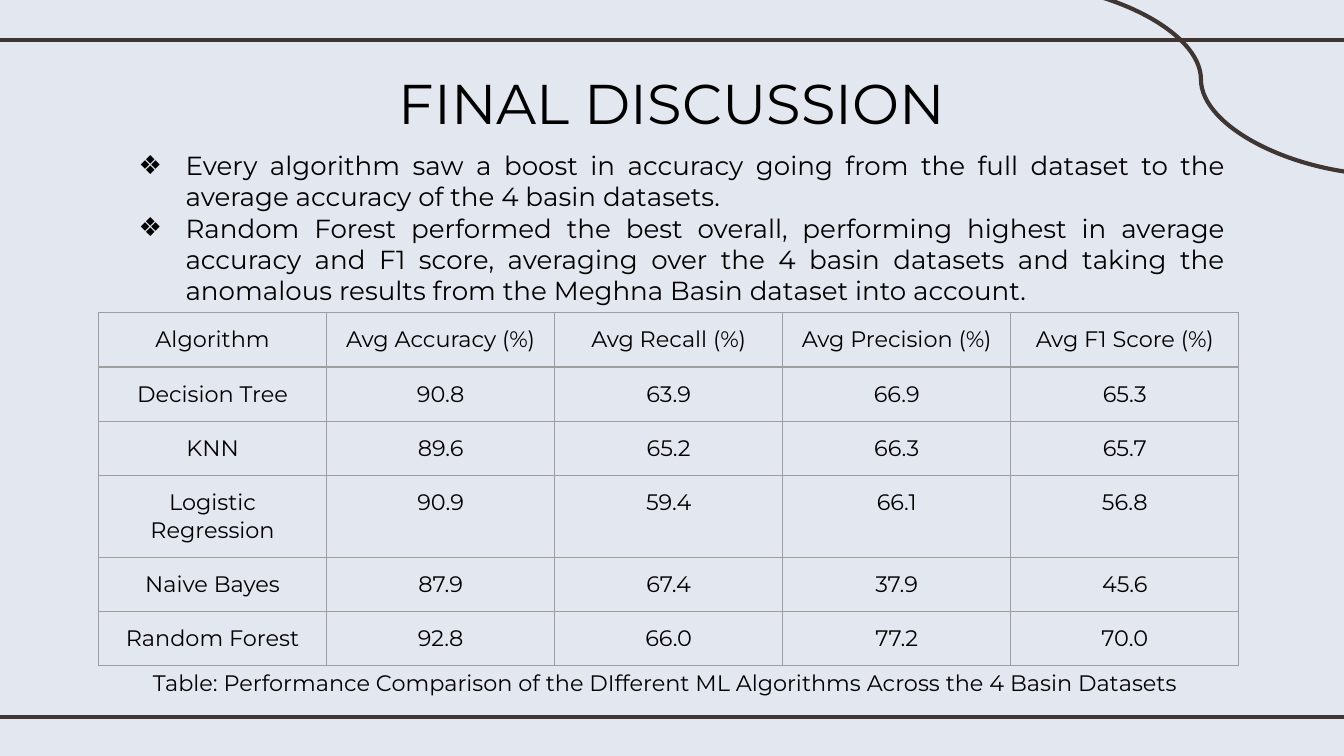
from lxml.etree import SubElement
from pptx import Presentation
from pptx.dml.color import RGBColor
from pptx.enum.shapes import MSO_CONNECTOR as Connector
from pptx.enum.text import MSO_ANCHOR as Anchor, MSO_AUTO_SIZE as AutoSize, PP_ALIGN as Align
from pptx.oxml.ns import qn
from pptx.util import Pt

# Content
TITLE = "FINAL DISCUSSION"
FINDINGS = [
    "Every algorithm saw a boost in accuracy going from the full dataset to the "
    "average accuracy of the 4 basin datasets.",
    "Random Forest performed the best overall, performing highest in average accuracy "
    "and F1 score, averaging over the 4 basin datasets and taking the anomalous results "
    "from the Meghna Basin dataset into account.",
]
RESULTS = [
    ("Algorithm", "Avg Accuracy (%)", "Avg Recall (%)", "Avg Precision (%)", "Avg F1 Score (%)"),
    ("Decision Tree", "90.8", "63.9", "66.9", "65.3"),
    ("KNN", "89.6", "65.2", "66.3", "65.7"),
    ("Logistic Regression", "90.9", "59.4", "66.1", "56.8"),
    ("Naive Bayes", "87.9", "67.4", "37.9", "45.6"),
    ("Random Forest", "92.8", "66.0", "77.2", "70.0"),
]
CAPTION = "Table: Performance Comparison of the DIfferent ML Algorithms Across the 4 Basin Datasets"


class Theme:
    font = "Montserrat"
    background = "E3E7F0"
    ink = "000000"
    rule = "3F3533"
    border = "9E9E9E"
    title_size, body_size, table_size = 30, 14, 12
    rule_width, border_width = 2.25, 0.75
    inset = 7.2


# Geometry in points
WIDTH, HEIGHT = 720, 405
TITLE_BOX = (100.8, 29.5, 518.4, 51.1)
FINDINGS_BOX = (56.2, 72.7, 607.7, 100.1)
CAPTION_BOX = (59.8, 351.4, 601.2, 29)
TABLE_LEFT, TABLE_TOP = 52.8, 167.5
COLUMN_WIDTH, ROW_HEIGHT, TALL_ROW_HEIGHT = 122.2, 29.1, 43.6
TALL_ROW = 3
RULES = [
    (Connector.STRAIGHT, -6, 21.5, 726, 21.5),
    (Connector.STRAIGHT, -6, 384, 726, 384),
    (Connector.CURVE, 542.2, -8.8, 744.5, 93.8),
]


def write_text(frame, lines, size=Theme.table_size, align=Align.CENTER, bullet=None):
    """Fill a text frame with one formatted paragraph per line."""
    for index, line in enumerate(lines):
        paragraph = frame.paragraphs[0] if index == 0 else frame.add_paragraph()
        paragraph.alignment = align
        paragraph.space_before = paragraph.space_after = Pt(0)
        run = paragraph.add_run()
        run.text = line
        run.font.name = Theme.font
        run.font.size = Pt(size)
        run.font.color.rgb = RGBColor.from_string(Theme.ink)
        if bullet:
            properties = paragraph._p.get_or_add_pPr()
            properties.set("marL", str(Pt(36)))
            properties.set("indent", str(Pt(-25.2)))
            color = SubElement(properties, qn("a:buClr"))
            SubElement(color, qn("a:srgbClr"), val=Theme.ink)
            SubElement(properties, qn("a:buFont"), typeface=Theme.font)
            SubElement(properties, qn("a:buChar"), char=bullet)


def set_box(shape, box, right_inset=Theme.inset):
    """Place a text shape and give it its insets."""
    shape.left, shape.top, shape.width, shape.height = map(Pt, box)
    frame = shape.text_frame
    frame.word_wrap = True
    frame.auto_size = AutoSize.NONE
    frame.vertical_anchor = Anchor.TOP
    frame.margin_left = frame.margin_top = frame.margin_bottom = Pt(Theme.inset)
    frame.margin_right = Pt(right_inset)
    return frame


def style_cell(cell):
    cell.margin_left = cell.margin_right = Pt(Theme.inset)
    cell.margin_top = cell.margin_bottom = Pt(Theme.inset)
    properties = cell._tc.get_or_add_tcPr()
    for side in ("lnL", "lnR", "lnT", "lnB"):
        line = SubElement(properties, qn(f"a:{side}"), w=str(Pt(Theme.border_width)))
        fill = SubElement(line, qn("a:solidFill"))
        SubElement(fill, qn("a:srgbClr"), val=Theme.border)
    cell.fill.background()


def add_rule(slide, kind, *ends):
    rule = slide.shapes.add_connector(kind, *map(Pt, ends))
    rule.line.color.rgb = RGBColor.from_string(Theme.rule)
    rule.line.width = Pt(Theme.rule_width)
    SubElement(rule._element.spPr, qn("a:effectLst"))


def add_results(slide):
    rows, columns = len(RESULTS), len(RESULTS[0])
    heights = [TALL_ROW_HEIGHT if row == TALL_ROW else ROW_HEIGHT for row in range(rows)]
    table = slide.shapes.add_table(
        rows, columns, Pt(TABLE_LEFT), Pt(TABLE_TOP),
        Pt(columns * COLUMN_WIDTH), Pt(sum(heights))).table
    table.first_row = table.horz_banding = False
    for column in table.columns:
        column.width = Pt(COLUMN_WIDTH)
    for row, height, values in zip(table.rows, heights, RESULTS):
        row.height = Pt(height)
        for cell, value in zip(row.cells, values):
            style_cell(cell)
            write_text(cell.text_frame, [value])


def main():
    presentation = Presentation()
    presentation.slide_width, presentation.slide_height = Pt(WIDTH), Pt(HEIGHT)
    slide = presentation.slides.add_slide(presentation.slide_layouts[1])
    background = slide.background.fill
    background.solid()
    background.fore_color.rgb = RGBColor.from_string(Theme.background)

    # Decorative lines
    for rule in RULES:
        add_rule(slide, *rule)

    # Title and findings
    write_text(set_box(slide.shapes.title, TITLE_BOX), [TITLE], size=Theme.title_size)
    write_text(set_box(slide.placeholders[1], FINDINGS_BOX), FINDINGS,
               size=Theme.body_size, align=Align.JUSTIFY, bullet="❖")

    # Results table and its caption, which sits slightly left of centre
    add_results(slide)
    caption = slide.shapes.add_textbox(*map(Pt, CAPTION_BOX))
    write_text(set_box(caption, CAPTION_BOX, right_inset=15), [CAPTION])

    presentation.save("out.pptx")


if __name__ == "__main__":
    main()
